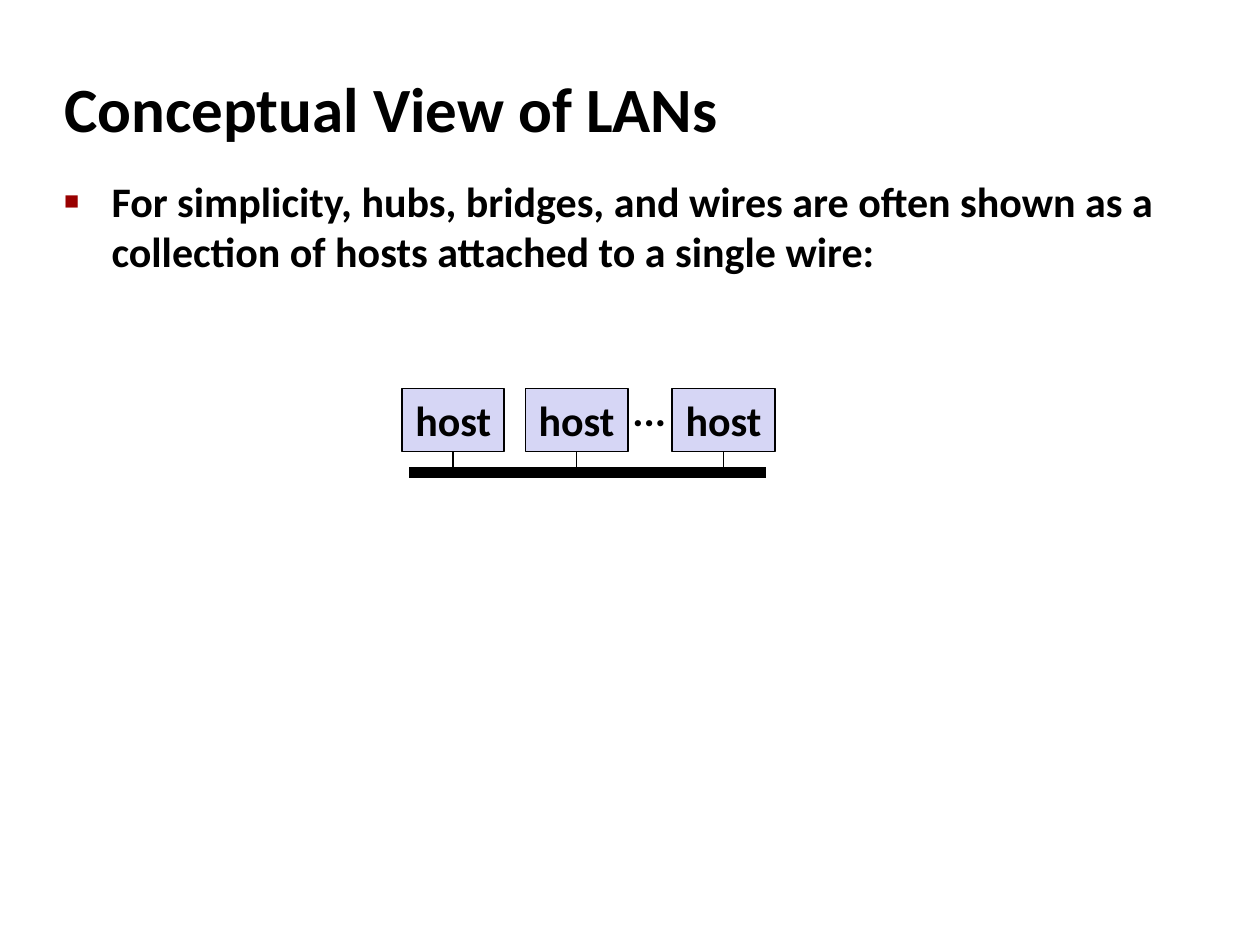
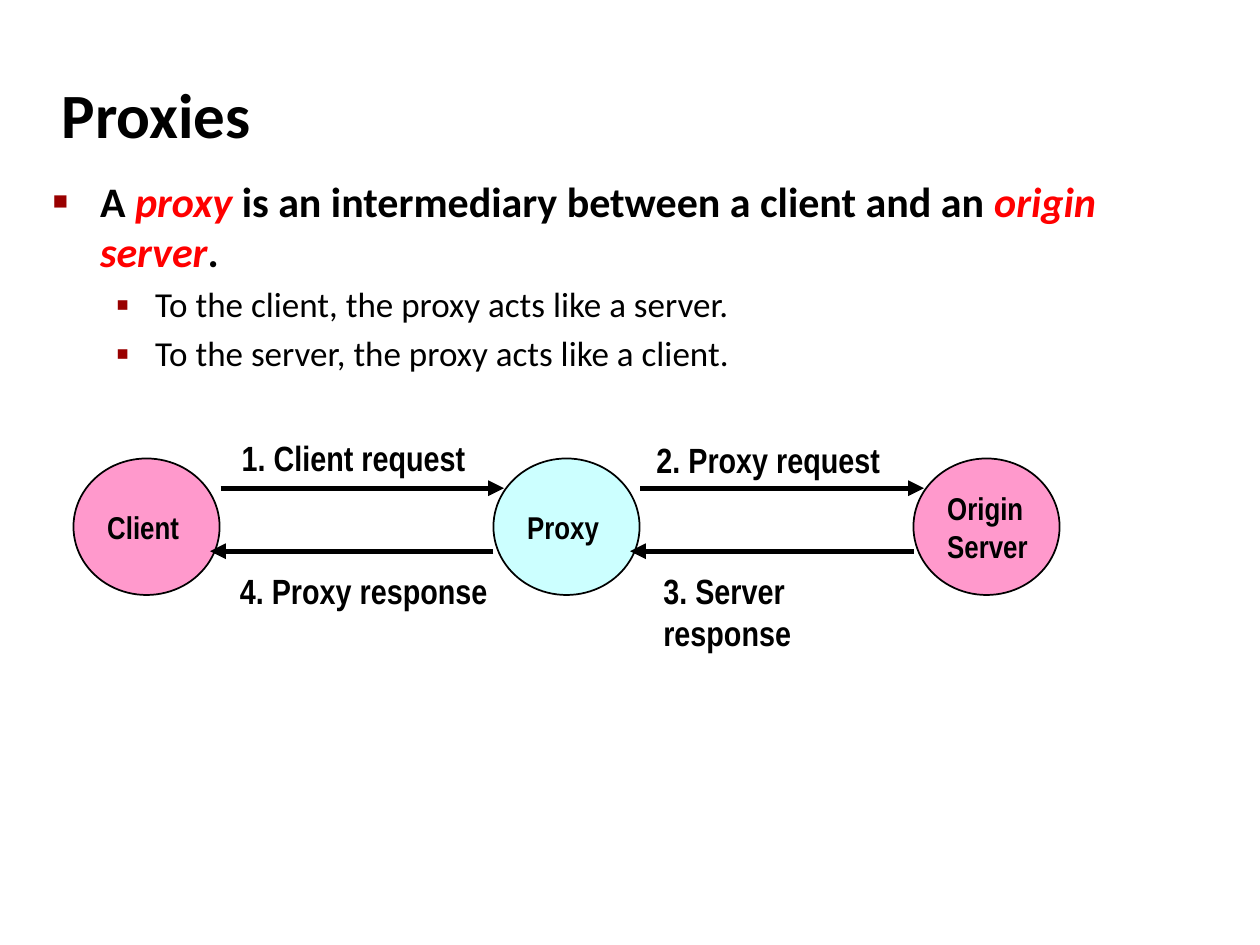
import pptx
import pptx.dml.color
import pptx.enum.shapes
import pptx.enum.text
import pptx.oxml
import pptx.oxml.ns
import pptx.util

Pt = pptx.util.Pt
Shape = pptx.enum.shapes.MSO_SHAPE
Align = pptx.enum.text.PP_ALIGN
Anchor = pptx.enum.text.MSO_ANCHOR
AutoSize = pptx.enum.text.MSO_AUTO_SIZE

BLACK, RED, BULLET = "000000", "FF0000", "990000"
LAVENDER, PINK, CYAN = "D6D6F5", "FF99CC", "CCFFFF"
TITLE = {"name": "Calibri", "size": Pt(36), "bold": True}
POINT = {"name": "Calibri", "size": Pt(24), "bold": True}
SUBPOINT = {"name": "Calibri", "size": Pt(20), "bold": False}
NODE = {"name": "Arial Narrow", "size": Pt(18), "bold": True}
LABEL = {"name": "Arial Narrow", "size": Pt(20), "bold": True}
LEVELS = [
    {"font": POINT, "margin": 27, "hang": 27, "mark": "■", "scale": 60},
    {"font": SUBPOINT, "margin": 58.5, "hang": 22.5, "mark": "▪", "scale": 110},
]


def color(value):
    """Turn a hex string into a colour."""
    return pptx.dml.color.RGBColor.from_string(value)


def apply(target, values):
    """Set every attribute named in a dict."""
    for name, value in values.items():
        setattr(target, name, value)


def add_child(parent, tag, **attributes):
    """Append a drawing element with attributes to its parent."""
    child = pptx.oxml.parse_xml(f"<a:{tag} {pptx.oxml.ns.nsdecls('a')}/>")
    for name, value in attributes.items():
        child.set(name, str(value))
    parent.append(child)
    return child


def add_span(para, text, font, hue=BLACK, italic=False):
    """Add one formatted stretch of text."""
    span = para.add_run()
    span.text = text
    apply(span.font, font)
    span.font.italic = italic
    span.font.color.rgb = color(hue)


def write_lines(shape, lines, font, align=Align.LEFT, **frame_values):
    """Write unwrapped lines of text into a shape."""
    frame = shape.text_frame
    apply(frame, {"word_wrap": False, **frame_values})
    for index, line in enumerate(lines):
        para = frame.add_paragraph() if index else frame.paragraphs[0]
        para.alignment = align
        add_span(para, line, font)


def place(shape, box):
    """Move a shape to a box of left, top, width and height."""
    apply(shape, dict(zip(("left", "top", "width", "height"), map(Pt, box))))


def add_line(page, start, end, width, arrow=False):
    """Draw a black straight line, with an arrowhead at its end if wanted."""
    line = page.shapes.add_connector(
        pptx.enum.shapes.MSO_CONNECTOR.STRAIGHT, *map(Pt, (*start, *end)))
    line.line.width = Pt(width)
    line.line.color.rgb = color(BLACK)
    properties = line._element.spPr
    if arrow:
        add_child(properties.find(pptx.oxml.ns.qn("a:ln")), "tailEnd", type="triangle")
    add_child(properties, "effectLst")
    return line


def add_node(page, kind, box, fill):
    """Draw a filled shape with a thin black outline."""
    node = page.shapes.add_shape(kind, *map(Pt, box))
    node.shadow.inherit = False
    node.fill.solid()
    node.fill.fore_color.rgb = color(fill)
    node.line.color.rgb = color(BLACK)
    node.line.width = Pt(1)
    return node


def add_text(page, box, text, font, **values):
    """Add a text box holding one line."""
    write_lines(page.shapes.add_textbox(*map(Pt, box)), [text], font, **values)


def set_title(page, box, text):
    """Fill and place the title placeholder."""
    title = page.shapes.title
    place(title, box)
    write_lines(title, [text], TITLE, word_wrap=True, auto_size=AutoSize.NONE,
                vertical_anchor=Anchor.MIDDLE)


def set_body(page, box, points):
    """Fill the body placeholder with bulleted points of (level, spans)."""
    body = page.placeholders[1]
    place(body, box)
    frame = body.text_frame
    apply(frame, {"word_wrap": True, "auto_size": AutoSize.NONE})
    for index, (level, spans) in enumerate(points):
        para = frame.add_paragraph() if index else frame.paragraphs[0]
        style = LEVELS[level]
        gap = Pt(style["font"]["size"].pt * 0.2)
        apply(para, {"level": level, "space_before": gap})
        properties = para._p.get_or_add_pPr()
        properties.set("marL", str(int(Pt(style["margin"]))))
        properties.set("indent", str(int(Pt(-style["hang"]))))
        add_child(add_child(properties, "buClr"), "srgbClr", val=BULLET)
        add_child(properties, "buSzPct", val=style["scale"] * 1000)
        add_child(properties, "buChar", char=style["mark"])
        for span in spans:
            add_span(para, span[0], style["font"], *span[1:])


def draw_network(page, box):
    """Draw hosts hanging from one shared wire."""
    left, top, width, height = box
    wire = top + height
    add_line(page, (left + 4, wire), (left + width - 5, wire), 6)
    for offset in (0, 70.5, 154.5):
        host = add_node(page, Shape.RECTANGLE, (left + offset, top + 6, 58.5, 36), LAVENDER)
        write_lines(host, ["host"], POINT, Align.CENTER, vertical_anchor=Anchor.MIDDLE)
        middle = left + offset + 29.25
        drop = add_line(page, (middle, top + 42), (middle, wire), 1)
        drop.begin_connect(host, 2)
    add_text(page, (left + 124.5, top, 33.5, 36), "...", POINT,
             align=Align.CENTER, vertical_anchor=Anchor.MIDDLE)


def draw_exchange(page, box):
    """Draw the parties in a row with request and response arrows between."""
    left, top, width, height = box
    diameter = 83.5
    step = (width - diameter) / 2
    parties = [(["Client"], PINK), (["Proxy"], CYAN), (["Origin", "Server"], PINK)]
    for index, (lines, fill) in enumerate(parties):
        oval = (left + index * step, top + 16, diameter, height - 16)
        party = add_node(page, Shape.OVAL, oval, fill)
        write_lines(party, lines, NODE, vertical_anchor=Anchor.MIDDLE)
    legs = [
        ("1. Client request", 89, "4. Proxy response", 88),
        ("2. Proxy request", 86, "3. Server response", 90),
    ]
    for index, (request, request_left, response, response_left) in enumerate(legs):
        start = left + index * step
        add_line(page, (start + 84, top + 33), (start + 246, top + 33), 3, arrow=True)
        add_line(page, (start + 240, top + 69), (start + 78, top + 69), 3, arrow=True)
        add_text(page, (start + request_left, top + index, 143, 32), request, LABEL)
        add_text(page, (start + response_left, top + 76, 160, 32), response, LABEL)


def build_lan_page(page):
    """Build the page on the conceptual view of LANs."""
    set_title(page, (29.5, 39, 553, 45), "Conceptual View of LANs")
    set_body(page, (29.5, 96.5, 654.5, 24), [
        (0, [("For simplicity, hubs, bridges, and wires are often shown as a "
              "collection of hosts attached to a single wire:",)]),
    ])
    draw_network(page, (229.75, 216, 213, 54))


def build_proxy_page(page):
    """Build the page on proxies."""
    set_title(page, (28, 34.5, 597.5, 60), "Proxies")
    set_body(page, (23, 96.5, 654.5, 312), [
        (0, [("A ",), ("proxy ", RED, True),
             ("is an intermediary between a client and an ",),
             ("origin server", RED, True), (".",)]),
        (1, [("To the client, the proxy acts like a server.",)]),
        (1, [("To the server, the proxy acts like a client.",)]),
    ])
    draw_exchange(page, (42, 246, 563.5, 94))


def main():
    """Build and save the deck."""
    deck = pptx.Presentation()
    apply(deck, {"slide_width": Pt(720), "slide_height": Pt(540)})
    for build in (build_lan_page, build_proxy_page):
        build(deck.slides.add_slide(deck.slide_layouts[1]))
    deck.save("out.pptx")


if __name__ == "__main__":
    main()
